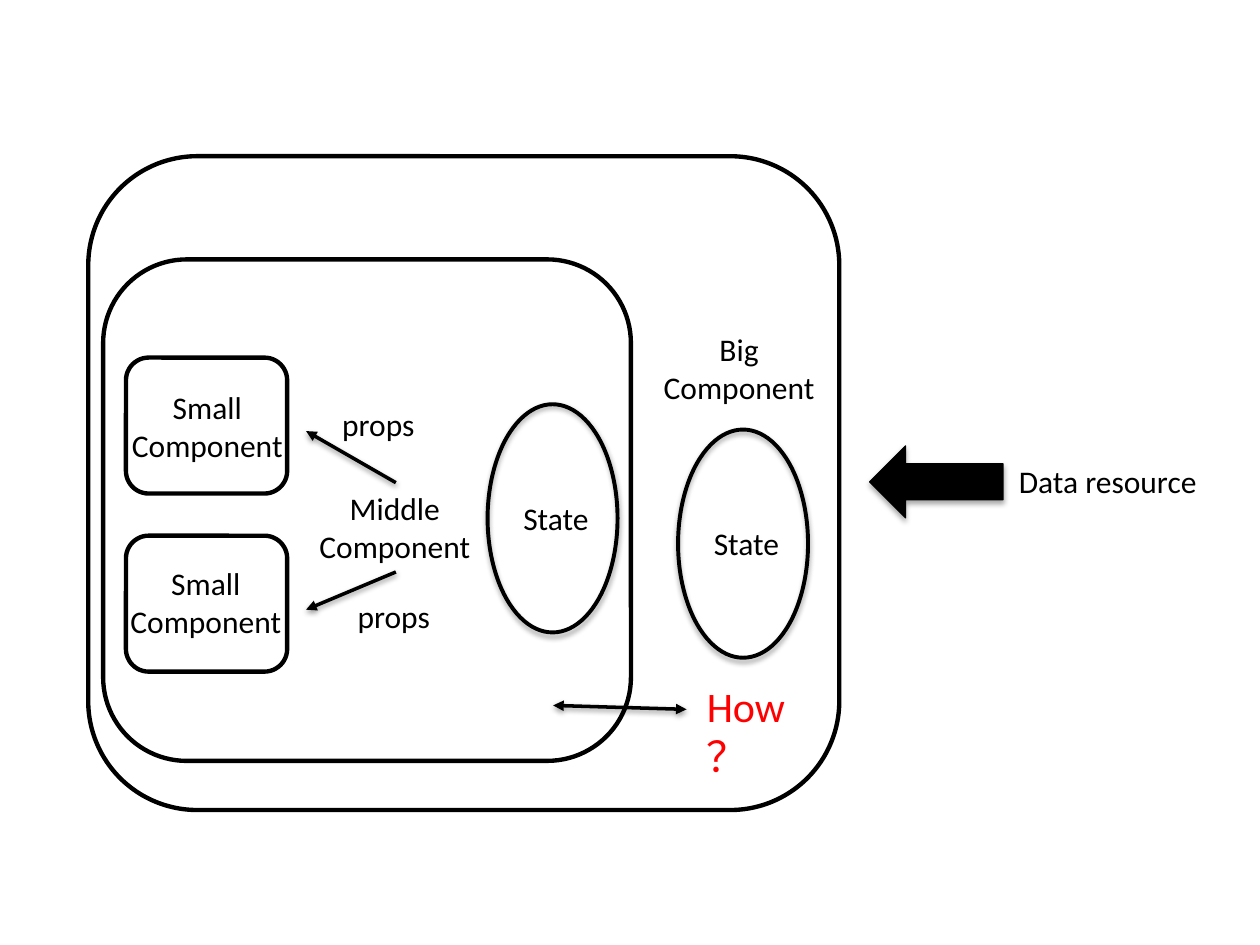
from lxml.etree import SubElement
from pptx import Presentation
from pptx.dml.color import RGBColor
from pptx.enum.shapes import MSO_CONNECTOR, MSO_SHAPE
from pptx.enum.text import MSO_AUTO_SIZE, PP_ALIGN
from pptx.oxml.ns import qn
from pptx.util import Cm, Pt

HUES = {"ink": "000000", "alert": "FF0000"}


class Sketch:
    font = "Calibri"

    def __init__(self, slide):
        self.slide = slide

    def hue(self, name):
        return RGBColor.from_string(HUES[name])

    def shade(self, item, dist, alpha):
        """Give the item a soft shadow straight below it."""
        props = item._element.spPr
        effects = props.find(qn("a:effectLst"))
        if effects is None:
            effects = SubElement(props, qn("a:effectLst"))
        outer = SubElement(effects, qn("a:outerShdw"), blurRad=str(Pt(3.15)),
                           dist=str(Pt(dist)), dir="5400000", rotWithShape="0")
        tint = SubElement(outer, qn("a:srgbClr"), val=HUES["ink"])
        SubElement(tint, qn("a:alpha"), val=str(alpha * 1000))

    def shape(self, kind, box, width=2.5, fill=None, shadow=False):
        item = self.slide.shapes.add_shape(kind, *map(Cm, box))
        item.shadow.inherit = False
        if fill:
            item.fill.solid()
            item.fill.fore_color.rgb = self.hue(fill)
        else:
            item.fill.background()
        item.line.color.rgb = self.hue("ink")
        item.line.width = Pt(width)
        if shadow:
            self.shade(item, 1.8, 35)

    def text(self, lines, box, size=18, color="ink", align=PP_ALIGN.LEFT):
        item = self.slide.shapes.add_textbox(*map(Cm, box))
        frame = item.text_frame
        frame.word_wrap = False
        frame.auto_size = MSO_AUTO_SIZE.SHAPE_TO_FIT_TEXT
        for i, line in enumerate(lines):
            para = frame.paragraphs[0] if i == 0 else frame.add_paragraph()
            para.alignment = align
            run = para.add_run()
            run.text = line
            run.font.name = self.font
            run.font.size = Pt(size)
            run.font.color.rgb = self.hue(color)
        return frame

    def label(self, name, left, top):
        self.text([name, "Component"], (left, top, 3.58, 1.8),
                  align=PP_ALIGN.CENTER)

    def state(self, left, top):
        self.shape(MSO_SHAPE.OVAL, (left, top, 2.62, 4.6), 2.25, shadow=True)
        self.text(["State"], (left + 0.47, top + 1.78, 1.85, 1.02))

    def arrow(self, ends, both=False):
        item = self.slide.shapes.add_connector(
            MSO_CONNECTOR.STRAIGHT, *map(Cm, ends))
        item.line.color.rgb = self.hue("ink")
        item.line.width = Pt(2)
        stroke = item._element.spPr.find(qn("a:ln"))
        for tip in ("a:headEnd", "a:tailEnd") if both else ("a:tailEnd",):
            SubElement(stroke, qn(tip), type="triangle")
        self.shade(item, 1.6, 38)


def main():
    deck = Presentation()
    deck.slide_width, deck.slide_height = Cm(25.4), Cm(19.05)
    art = Sketch(deck.slides.add_slide(deck.slide_layouts[6]))

    frames = [
        (1.78, 3.15, 15.14, 13.18),
        (2.08, 5.23, 10.64, 10.11),
        (2.54, 7.21, 3.25, 2.74),
        (2.54, 10.8, 3.25, 2.74),
    ]
    for box in frames:
        art.shape(MSO_SHAPE.ROUNDED_RECTANGLE, box)

    art.label("Small", 2.39, 7.7)
    art.label("Small", 2.36, 11.25)
    art.label("Middle", 6.17, 9.73)
    art.label("Big", 13.11, 6.53)

    art.state(9.83, 8.15)
    art.state(13.67, 8.66)

    art.arrow((7.98, 9.73, 6.17, 8.69))
    art.arrow((7.98, 11.53, 6.17, 12.29))
    art.text(["props"], (6.65, 8.05, 1.98, 1.02))
    art.text(["props"], (6.96, 11.91, 1.98, 1.02))

    art.shape(MSO_SHAPE.LEFT_ARROW, (17.53, 8.99, 2.69, 1.45), 0.75,
              fill="ink", shadow=True)
    art.text(["Data resource"], (20.29, 9.19, 4.14, 1.02))

    art.arrow((11.15, 14.22, 13.84, 14.3), both=True)
    query = art.text(["How？"], (14, 13.59, 2.97, 1.27), 24, "alert")
    query.word_wrap = True
    query.margin_right = Cm(0.75)

    deck.save("out.pptx")


if __name__ == "__main__":
    main()
